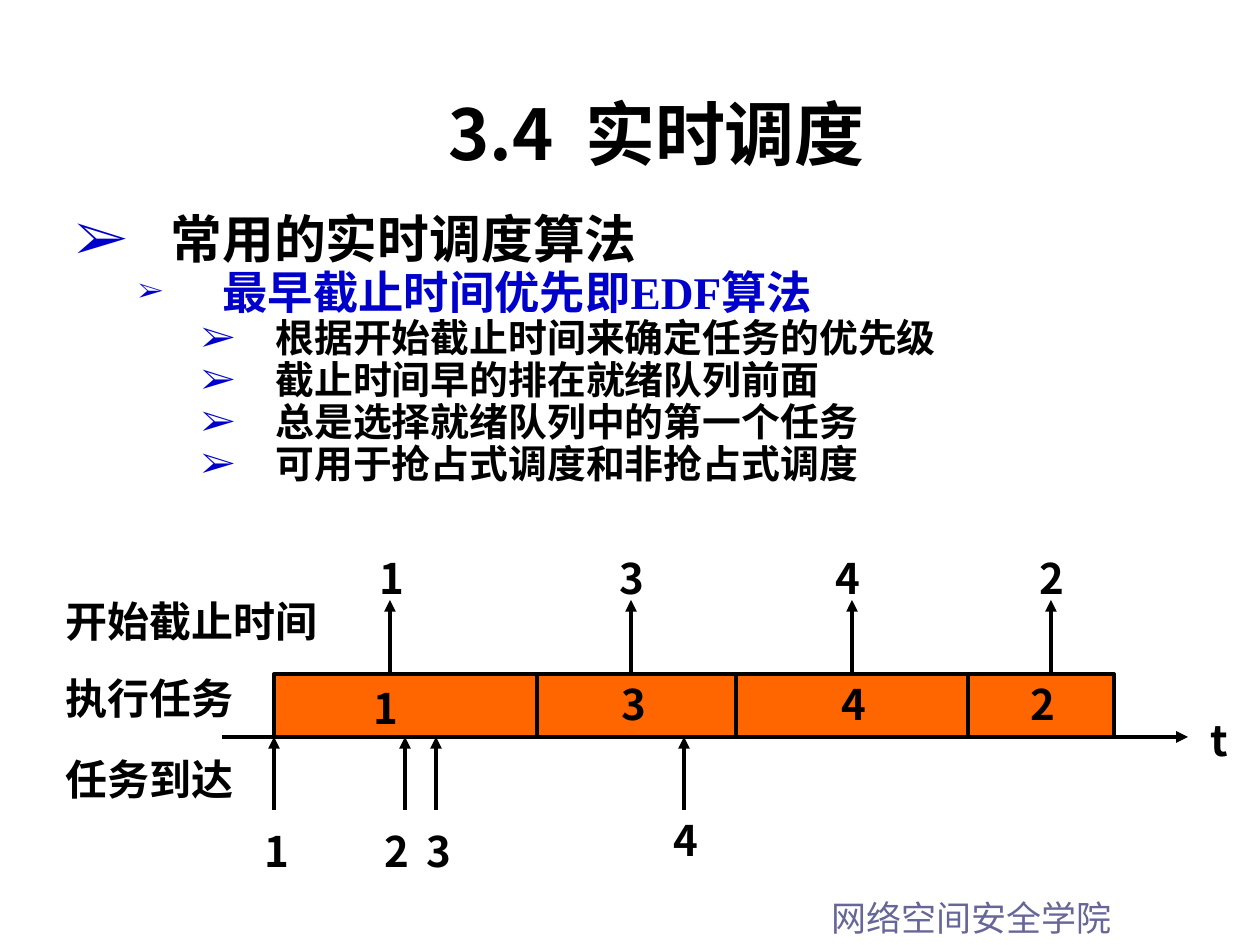
from dataclasses import dataclass
from lxml import etree
from pptx import Presentation
from pptx.dml.color import RGBColor
from pptx.enum import shapes, text
from pptx.oxml.ns import qn
from pptx.util import Pt


@dataclass(frozen=True)
class Theme:
    ink: str = "000000"
    blue: str = "0000CC"
    bar: str = "FF6600"
    foot: str = "666699"
    cjk: str = "Noto Sans CJK SC"
    head: str = "Noto Sans CJK JP"
    serif: str = "Times New Roman"
    title: float = 40
    label: float = 24
    note: float = 20
    levels: tuple = (29.6, 25.9, 22.2)
    stroke: float = 2.25


PX = 914400 / 126
look = Theme()
deck = Presentation()
deck.slide_width, deck.slide_height = int(1260 * PX), int(945 * PX)
slide = deck.slides.add_slide(deck.slide_layouts[5])
pool = slide.shapes


def write(words, box=None, para=None, size=look.label, color=look.ink, font=look.cjk,
          east=look.cjk, bold=True, align=text.PP_ALIGN.LEFT, wrap=False,
          anchor=text.MSO_ANCHOR.TOP, shape=None):
    if para is None:
        place = [int(v * PX) for v in box]
        shape = shape or pool.add_textbox(*place)
        shape.left, shape.top, shape.width, shape.height = place
        frame = shape.text_frame
        frame.word_wrap = wrap
        frame.auto_size = text.MSO_AUTO_SIZE.NONE
        frame.vertical_anchor = anchor
        para = frame.paragraphs[0]
    para.alignment = align
    run = para.add_run()
    run.text = words
    run.font.size, run.font.bold, run.font.name = Pt(size), bold, font
    run.font.color.rgb = RGBColor.from_string(color)
    latin = run.font._element.find(qn("a:latin"))
    ea = etree.Element(qn("a:ea"), typeface=east)
    latin.addnext(ea)


def draw(x1, y1, x2, y2, arrow=False):
    ends = [int(v * PX) for v in (x1, y1, x2, y2)]
    line = pool.add_connector(shapes.MSO_CONNECTOR.STRAIGHT, *ends)
    line.line.color.rgb = RGBColor.from_string(look.ink)
    line.line.width = Pt(look.stroke)
    if arrow:
        etree.SubElement(line.line._get_or_add_ln(), qn("a:tailEnd"), type="triangle")
    etree.SubElement(line._element.spPr, qn("a:effectLst"))


middle = text.MSO_ANCHOR.MIDDLE
write("3.4  实时调度", (179, 84, 955, 97), shape=pool.title, size=look.title,
      font=look.head, east=look.head, align=text.PP_ALIGN.CENTER, anchor=middle, wrap=True)
write("网络空间安全学院", (819, 890, 441, 55), size=look.note, color=look.foot,
      font=look.head, east=look.head, bold=False, anchor=middle, wrap=True)

body = pool.add_textbox(*[int(v * PX) for v in (63, 208, 1176, 336)]).text_frame
body.word_wrap = True
indents = ((95, 95, 110), (147, 84, 60), (200, 74, 95))
points = [
    (0, "常用的实时调度算法"),
    (1, "最早截止时间优先即EDF算法"),
    (2, "根据开始截止时间来确定任务的优先级"),
    (2, "截止时间早的排在就绪队列前面"),
    (2, "总是选择就绪队列中的第一个任务"),
    (2, "可用于抢占式调度和非抢占式调度"),
]
for n, (level, words) in enumerate(points):
    para = body.add_paragraph() if n else body.paragraphs[0]
    para.level, para.line_spacing = level, 0.9
    left, hang, share = indents[level]
    prop = para._p.get_or_add_pPr()
    prop.set("marL", str(int(left * PX)))
    prop.set("indent", str(int(-hang * PX)))
    tint = etree.SubElement(prop, qn("a:buClr"))
    etree.SubElement(tint, qn("a:srgbClr"), val=look.blue)
    etree.SubElement(prop, qn("a:buSzPct"), val=str(share * 1000))
    etree.SubElement(prop, qn("a:buFont"), typeface=look.serif)
    etree.SubElement(prop, qn("a:buChar"), char="➢")
    write(words, para=para, size=look.levels[level],
          color=look.blue if level == 1 else look.ink,
          font=look.cjk if level == 0 else look.serif)

top, base, start, stop = 674, 737, 274, 1114
bar = pool.add_shape(shapes.MSO_SHAPE.RECTANGLE,
                     *[int(v * PX) for v in (start, top, stop - start, base - top)])
bar.shadow.inherit = False
bar.fill.solid()
bar.fill.fore_color.rgb = RGBColor.from_string(look.bar)
bar.line.color.rgb = RGBColor.from_string(look.ink)
bar.line.width = Pt(look.stroke)
for x in (537, 736, 968):
    draw(x, top, x, base)

runs = [("1", 361, 676, 390, 367), ("3", 609, 672, 631, 607),
        ("4", 829, 672, 852, 823), ("2", 1018, 672, 1051, 1027)]
for name, x, y, due, tag in runs:
    write(name, (x, y, 49, 63))
    draw(due, top, due, 600, arrow=True)
    write(name, (tag, 546, 49, 63))

for name, x, tag, y in [("1", 274, 252, 819), ("2", 405, 372, 819),
                        ("3", 436, 414, 819), ("4", 684, 661, 808)]:
    draw(x, 810, x, base, arrow=True)
    write(name, (tag, y, 49, 63))

draw(222, base, 306, base)
draw(stop, base, 1188, base, arrow=True)
for words, x, y, wide in [("开始截止时间", 53, 589, 277), ("执行任务", 53, 666, 193),
                          ("任务到达", 53, 747, 193), ("t", 1198, 708, 43)]:
    write(words, (x, y, wide, 63))

deck.save("out.pptx")
